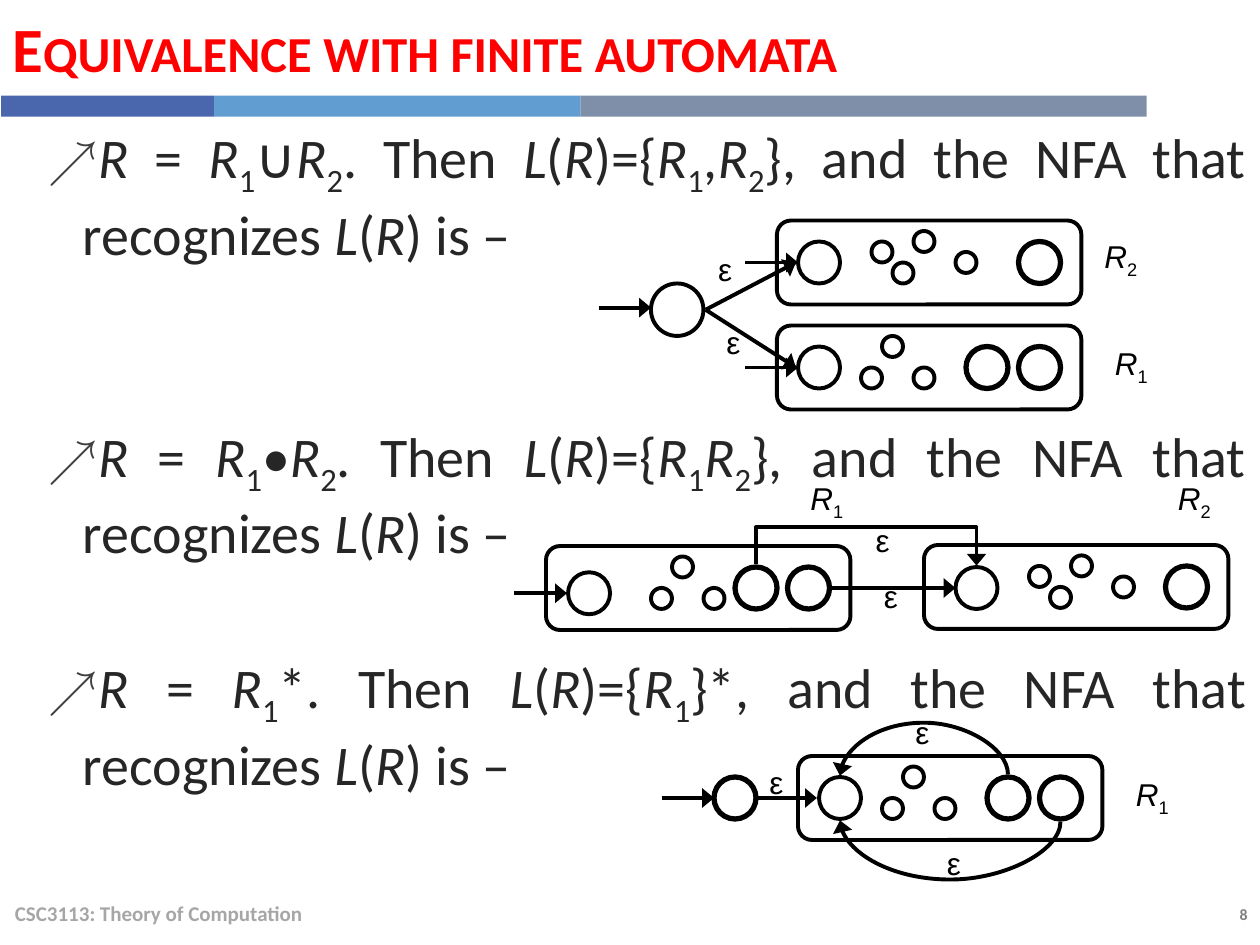
from itertools import groupby

from pptx import Presentation
from pptx import util as u
from pptx.dml.color import RGBColor
from pptx.enum import shapes, text
from pptx.oxml.ns import qn
from lxml import etree

BLACK = RGBColor(0x00, 0x00, 0x00)
RED = RGBColor(0xFF, 0x00, 0x00)
INK = RGBColor(0x26, 0x26, 0x26)
FOOTER_GREY = RGBColor(0xA6, 0xA6, 0xA6)
NUMBER_GREY = RGBColor(0x80, 0x80, 0x80)
BAND_COLOURS = (RGBColor(0x4A, 0x66, 0xAC), RGBColor(0x62, 0x9D, 0xD1),
                RGBColor(0x7F, 0x8F, 0xA9))

CELLS_PER_INCH = 12
STATE, DOT, ENTRY = 4, 2, 5
BOX_COLUMNS, BOX_ROWS = 29, 8
THIN, THICK = 2.25, 3

# Columns and rows counted from the corner of an automaton's box
R1_DOTS = ((10, 1), (8, 4), (13, 4))
R1_FINALS = ((18, 2), (23, 2))
R2_DOTS = ((9, 2), (11, 4), (13, 1), (17, 3))
R2_FINALS = ((23, 2),)

LABEL = {"size": u.Pt(18), "name": "Arial"}
BODY = {"size": u.Pt(32), "name": "Calibri"}

STATEMENTS = (
    ("R = R1∪R2. Then L(R)={R1,R2}, and the NFA that recognizes L(R) is –", 6),
    ("R = R1•R2. Then L(R)={R1R2}, and the NFA that recognizes L(R) is –", 88.5),
    ("R = R1*. Then L(R)={R1}*, and the NFA that recognizes L(R) is –", 50),
)


def grid(*cells):
    """Turn columns or rows of the grid into lengths."""
    return [u.Inches(cell / CELLS_PER_INCH) for cell in cells]


def add_child(parent, tag, **attributes):
    return etree.SubElement(parent, qn(tag), attributes)


def set_format(target, values):
    for key, value in values.items():
        setattr(target, key, value)


def add_run(paragraph, words, colour, font):
    run = paragraph.add_run()
    run.text = words
    set_format(run.font, font)
    run.font.color.rgb = colour
    return run


def add_formula(paragraph, words, colour, font):
    """Write R and L in italics and digits as subscripts."""
    def style(letter):
        return letter in "RL", letter.isdigit()

    for (italic, subscript), letters in groupby(words, style):
        run = add_run(paragraph, "".join(letters), colour, {**font, "italic": italic})
        if subscript:
            run.font._element.set("baseline", "-25000")


def add_frame(slide, left, top, width, height, anchor=text.MSO_ANCHOR.TOP):
    frame = slide.shapes.add_textbox(*grid(left, top, width, height)).text_frame
    set_format(frame, {"word_wrap": True, "vertical_anchor": anchor})
    return frame


def add_bullet(paragraph):
    props = paragraph._p.get_or_add_pPr()
    indents = {"marL": u.Inches(0.56), "indent": -u.Inches(0.28)}
    for key, value in indents.items():
        props.set(key, str(value))
    add_child(add_child(props, "a:buClr"), "a:srgbClr", val="404040")
    add_child(props, "a:buSzPct", val="90000")
    add_child(props, "a:buFont", typeface="Arial")
    add_child(props, "a:buChar", char="↗")


def add_statements(slide):
    frame = add_frame(slide, 0, 11.1, 119.9, 73.3)
    for index, (words, gap) in enumerate(STATEMENTS):
        paragraph = frame.add_paragraph() if index else frame.paragraphs[0]
        set_format(paragraph, {"level": 1, "alignment": text.PP_ALIGN.JUSTIFY,
                               "space_before": u.Pt(gap)})
        add_bullet(paragraph)
        add_formula(paragraph, words, INK, BODY)


def add_heading(slide):
    frame = add_frame(slide, 0, 0, 109.2, 9.0, text.MSO_ANCHOR.MIDDLE)
    paragraph = frame.paragraphs[0]
    paragraph.space_before = u.Pt(6)
    run = add_run(paragraph, "Equivalence with finite automata", RED,
                  {"size": u.Pt(36), "name": "Calibri", "bold": True})
    run.font._element.set("cap", "small")


def add_band(slide):
    left = 0.1
    for colour, width in zip(BAND_COLOURS, (20.3, 34.9, 53.9)):
        bar = slide.shapes.add_shape(shapes.MSO_SHAPE.RECTANGLE,
                                     *grid(left, 9.12, width, 2))
        bar.shadow.inherit = False
        bar.fill.solid()
        bar.fill.fore_color.rgb = colour
        bar.line.fill.background()
        left += width


def add_footer(slide):
    small = {"name": "Calibri", "bold": True}
    course = add_frame(slide, 0.24, 84.6, 80.4, 4.8, text.MSO_ANCHOR.MIDDLE)
    add_run(course.paragraphs[0], "CSC3113: Theory of Computation", FOOTER_GREY,
            {**small, "size": u.Pt(12)})
    number = add_frame(slide, 104.8, 85.6, 15.2, 3).paragraphs[0]
    number.alignment = text.PP_ALIGN.RIGHT
    add_run(number, "8", NUMBER_GREY, {**small, "size": u.Pt(9)})


def add_outline(slide, preset, left, top, width, height, weight=THIN):
    outline = slide.shapes.add_shape(preset, *grid(left, top, width, height))
    outline.shadow.inherit = False
    outline.fill.background()
    outline.line.color.rgb = BLACK
    outline.line.width = u.Pt(weight)


def add_circle(slide, left, top, size, weight=THIN):
    add_outline(slide, shapes.MSO_SHAPE.OVAL, left, top, size, size, weight)


def add_automaton(slide, left, top, dots, finals, start=(2, 2), dot_shift=0):
    """Draw a boxed machine with its start, inner and accepting states."""
    add_outline(slide, shapes.MSO_SHAPE.ROUNDED_RECTANGLE, left, top, BOX_COLUMNS, BOX_ROWS)
    add_circle(slide, left + start[0], top + start[1], STATE)
    for column, row in dots:
        add_circle(slide, left + column + dot_shift, top + row, DOT)
    for column, row in finals:
        add_circle(slide, left + column, top + row, STATE, THICK)


def add_arrow(slide, *ends, kind=shapes.MSO_CONNECTOR.STRAIGHT):
    arrow = slide.shapes.add_connector(kind, *grid(*ends))
    arrow.line.color.rgb = BLACK
    arrow.line.width = u.Pt(THIN)
    add_child(arrow.line._get_or_add_ln(), "a:tailEnd", type="triangle", w="lg", len="med")
    add_child(arrow._element.spPr, "a:effectLst")
    return arrow


def add_loop(slide, kind, begin, end, row, depth, turn):
    """Lead an arrow out of one row and back to it; a negative depth goes up."""
    middle, half, thin = (begin + end) / 2, abs(end - begin) / 2, 0.06
    side = 1 if turn == 270 and depth < 0 else -1
    loop = add_arrow(slide, middle + side * thin, row + half,
                     middle - side * thin, row - half, kind=kind)
    loop.rotation = turn
    guides = loop._element.spPr.find(qn("a:prstGeom")).get_or_add_avLst()
    share = round(-abs(depth) / (2 * thin) * 100000)
    add_child(guides, "a:gd", name="adj1", fmla=f"val {share}")


def add_label(slide, words, left, top):
    width = 4 if words == "ε" else 7
    add_formula(add_frame(slide, left, top, width, 4.8).paragraphs[0], words, BLACK, LABEL)


def add_union(slide):
    add_circle(slide, 62, 27, ENTRY)
    add_automaton(slide, 74, 31, R1_DOTS, R1_FINALS)
    add_automaton(slide, 74, 21, R2_DOTS, R2_FINALS)
    add_arrow(slide, 57, 29.3, 62, 29.3)
    for row in (25, 35):
        add_arrow(slide, 67.2, 29.5, 75.8, row)
        add_arrow(slide, 71, row, 76, row)


def add_concatenation(slide):
    add_automaton(slide, 52, 52, R1_DOTS, R1_FINALS, start=(2.1, 2.5), dot_shift=2)
    add_automaton(slide, 88, 51.9, R2_DOTS, R2_FINALS, start=(3, 2.1), dot_shift=1)
    add_arrow(slide, 49, 56.5, 54, 56.5)
    add_arrow(slide, 79.2, 56, 91, 56)
    add_loop(slide, shapes.MSO_CONNECTOR.ELBOW, 72, 93, 53.8, -3.6, 90)


def add_star(slide):
    add_automaton(slide, 76, 72, R1_DOTS, R1_FINALS)
    add_circle(slide, 68, 74, STATE, THICK)
    add_arrow(slide, 63, 76, 68, 76)
    add_arrow(slide, 72.2, 76, 77.8, 76)
    add_loop(slide, shapes.MSO_CONNECTOR.CURVE, 96, 80, 73.8, -5, 270)
    add_loop(slide, shapes.MSO_CONNECTOR.CURVE, 101, 80, 78.2, 5.6, 270)


def main():
    deck = Presentation()
    deck.slide_width, deck.slide_height = u.Inches(10), u.Inches(7.5)
    slide = deck.slides.add_slide(deck.slide_layouts[6])
    for add_part in (add_band, add_footer, add_heading, add_statements,
                     add_union, add_concatenation, add_star):
        add_part(slide)
    for place in ((67.2, 23.2), (68, 30.2), (83, 54.4), (82.2, 49),
                  (72.1, 72.1), (89, 79.8), (86, 67.3)):
        add_label(slide, "ε", *place)
    for words, *place in (("R2", 104, 22), ("R1", 105, 32.2), ("R1", 76, 45),
                          ("R2", 111, 45), ("R1", 107, 73.2)):
        add_label(slide, words, *place)
    deck.save("out.pptx")


if __name__ == "__main__":
    main()
